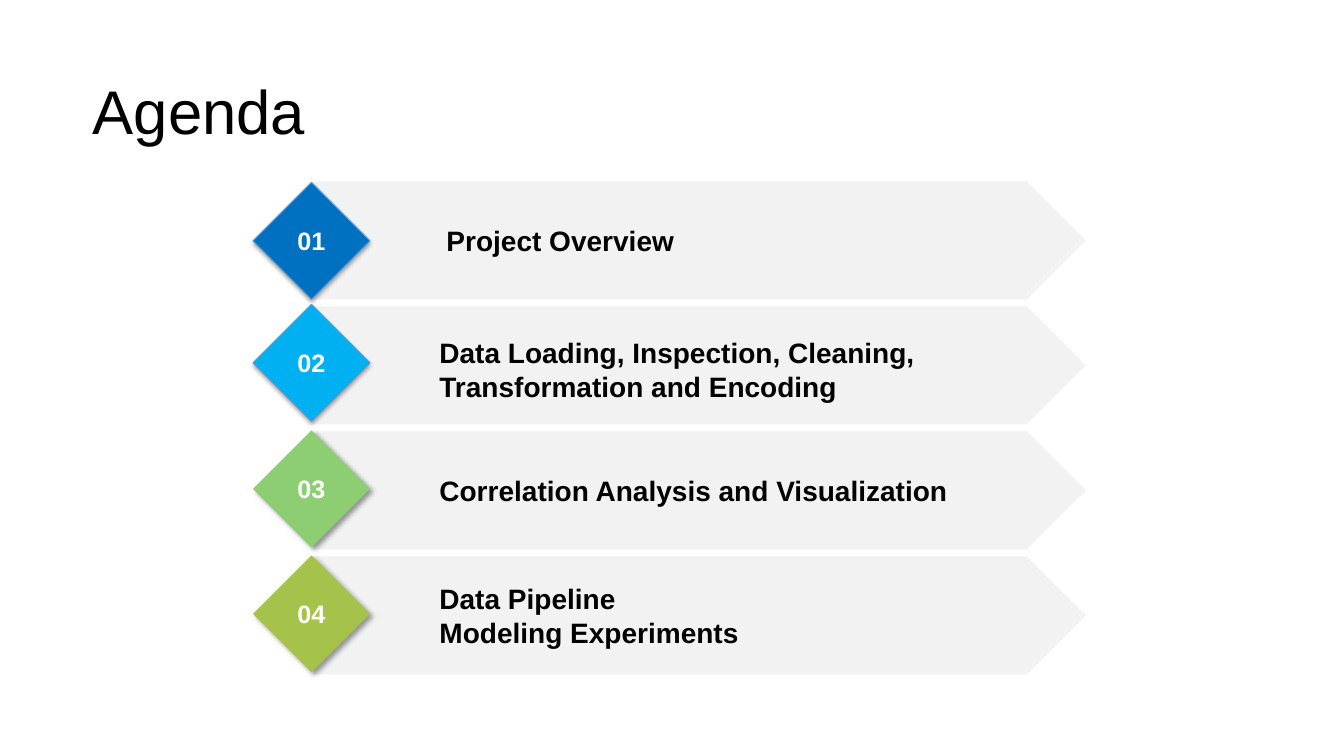
from dataclasses import dataclass

from lxml import etree
from pptx import Presentation
from pptx.dml.color import RGBColor
from pptx.enum.shapes import MSO_SHAPE
from pptx.enum.text import MSO_ANCHOR, PP_ALIGN
from pptx.oxml.ns import qn
from pptx.util import Inches, Pt

ARROW = MSO_SHAPE.PENTAGON
DIAMOND = MSO_SHAPE.DIAMOND
MIDDLE = MSO_ANCHOR.MIDDLE
CENTER = PP_ALIGN.CENTER
LEFT = PP_ALIGN.LEFT

COLORS = {
    "bar": "F2F2F2",
    "outline": "5698D3",
    "text": "000000",
    "number": "FFFFFF",
    "shadow": "000000",
    "blue": "0070C0",
    "sky": "00B0F0",
    "green": "8DCE72",
    "olive": "A5C24B",
}
FONT = "Arial"
FIRST_ROW, ROW_STEP, ROW_HEIGHT = 1.8, 1.24, 1.17
BAR_LEFT, BAR_WIDTH = 3.1, 7.67
DIAMOND_LEFT, DIAMOND_SIZE = 2.51, 1.16
LINE_HEIGHT, LABEL_PADDING = 0.33, 0.11


@dataclass
class Shadow:
    opacity: int
    blur: float
    distance: float
    angle: int


@dataclass
class Topic:
    lines: list
    color: str
    label_left: float
    label_width: float
    shadow: Shadow
    outlined: bool = False
    diamond_shift: float = -0.01
    label_shift: float = 0


SOFT = Shadow(35, 3.1, 1.8, 90)
DEEP = Shadow(40, 4, 3, 45)
TOPICS = [
    Topic(["Project Overview"], "blue", 4.33, 6.44, SOFT, True, 0.01),
    Topic(["Data Loading, Inspection, Cleaning,", "Transformation and Encoding"],
          "sky", 4.26, 6.44, SOFT, True, -0.02, 0.04),
    Topic(["Correlation Analysis and Visualization"], "green", 4.26, 5.56, DEEP),
    Topic(["Data Pipeline", "Modeling Experiments"], "olive", 4.26, 5.11, DEEP),
]


def rgb(name):
    return RGBColor.from_string(COLORS[name])


def row_top(row):
    return FIRST_ROW + row * ROW_STEP


def write_lines(frame, lines, size, color, bold=False, alignment=LEFT):
    frame.vertical_anchor = MIDDLE
    for index, line in enumerate(lines):
        paragraph = frame.add_paragraph() if index else frame.paragraphs[0]
        paragraph.text = line
        paragraph.alignment = alignment
        font = paragraph.font
        font.name, font.size, font.bold = FONT, Pt(size), bold
        font.color.rgb = rgb(color)


def add_text(slide, box, lines, size, bold=False, margin=None):
    frame = slide.shapes.add_textbox(*map(Inches, box)).text_frame
    frame.word_wrap = True
    if margin is not None:
        frame.margin_left = frame.margin_right = margin
        frame.margin_top = frame.margin_bottom = margin
    write_lines(frame, lines, size, "text", bold)


def add_filled_shape(slide, kind, box, color):
    shape = slide.shapes.add_shape(kind, *map(Inches, box))
    shape.shadow.inherit = False
    shape.fill.solid()
    shape.fill.fore_color.rgb = rgb(color)
    shape.line.fill.background()
    return shape


def cast_shadow(shape, shadow):
    effects = shape._element.spPr.find(qn("a:effectLst"))
    outer = etree.SubElement(
        effects, qn("a:outerShdw"), blurRad=str(Pt(shadow.blur)),
        dist=str(Pt(shadow.distance)), dir=str(shadow.angle * 60000), rotWithShape="0")
    color = etree.SubElement(outer, qn("a:srgbClr"), val=COLORS["shadow"])
    etree.SubElement(color, qn("a:alpha"), val=str(shadow.opacity * 1000))


def add_bar(slide, row):
    add_filled_shape(slide, ARROW, (BAR_LEFT, row_top(row), BAR_WIDTH, ROW_HEIGHT), "bar")


def add_number(slide, row, topic):
    box = (DIAMOND_LEFT, row_top(row) + topic.diamond_shift, DIAMOND_SIZE, DIAMOND_SIZE)
    diamond = add_filled_shape(slide, DIAMOND, box, topic.color)
    if topic.outlined:
        diamond.line.color.rgb = rgb("outline")
        diamond.line.width = Pt(0.75)
    cast_shadow(diamond, topic.shadow)
    write_lines(diamond.text_frame, [f"{row + 1:02}"], 18, "number", True, CENTER)


def add_label(slide, row, topic):
    height = len(topic.lines) * LINE_HEIGHT + LABEL_PADDING
    top = row_top(row) + (ROW_HEIGHT - height) / 2 + topic.label_shift
    add_text(slide, (topic.label_left, top, topic.label_width, height), topic.lines, 20, True)


def main():
    presentation = Presentation()
    presentation.slide_width, presentation.slide_height = Inches(13.33), Inches(7.5)
    slide = presentation.slides.add_slide(presentation.slide_layouts[6])
    for row in range(len(TOPICS)):
        add_bar(slide, row)
    add_text(slide, (0.92, 0.36, 11.5, 1.45), ["Agenda"], 44, margin=0)
    for row, topic in enumerate(TOPICS):
        add_number(slide, row, topic)
    for row, topic in enumerate(TOPICS):
        add_label(slide, row, topic)
    presentation.save("out.pptx")


if __name__ == "__main__":
    main()
